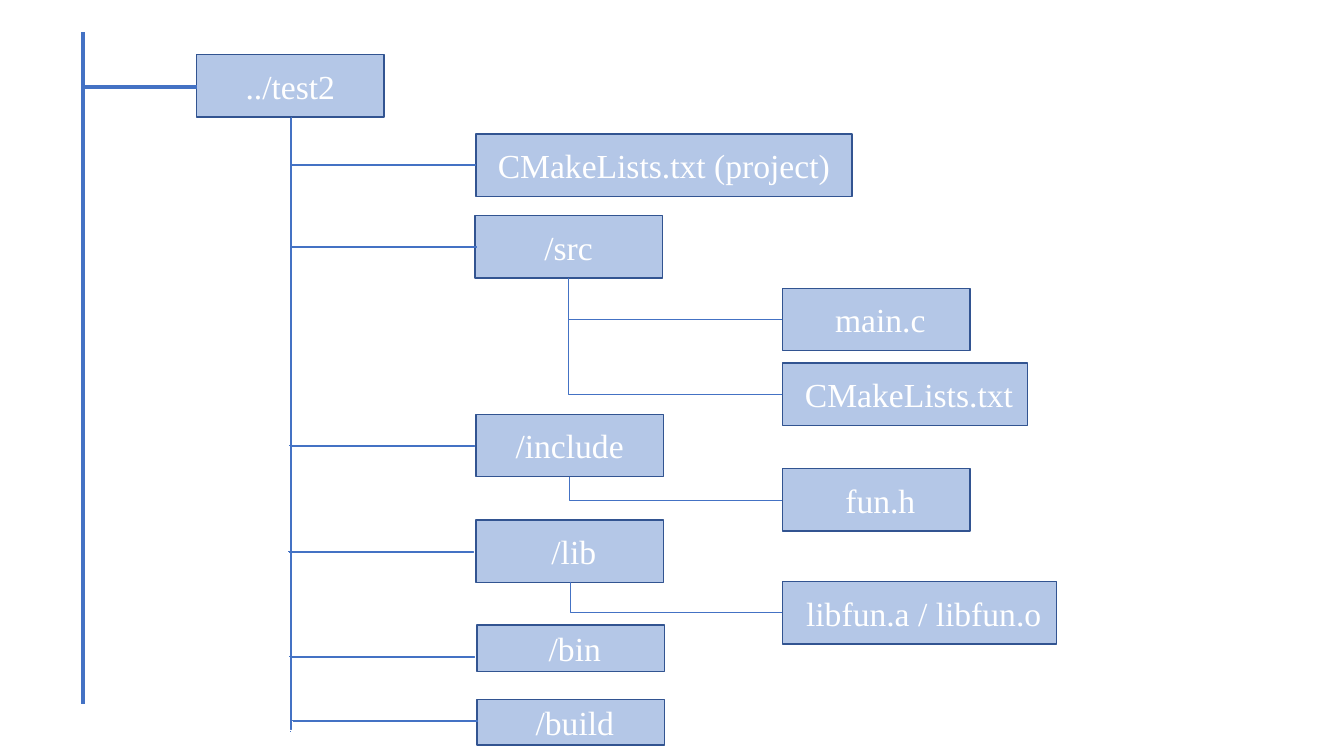
from dataclasses import dataclass

from lxml.etree import SubElement
from pptx import Presentation
from pptx.dml.color import RGBColor as RGB
from pptx.enum.shapes import MSO_CONNECTOR as Link, MSO_SHAPE as Kind
from pptx.enum.text import MSO_ANCHOR as Anchor, PP_ALIGN as Align
from pptx.oxml.ns import qn
from pptx.shapes.autoshape import Shape
from pptx.shapes.connector import Connector
from pptx.slide import Slide
from pptx.util import Inches, Pt


@dataclass(frozen=True)
class Theme:
    fill: RGB = RGB(0xB4, 0xC7, 0xE7)
    edge: RGB = RGB(0x32, 0x54, 0x91)
    wire: RGB = RGB(0x44, 0x72, 0xC4)
    text: RGB = RGB(0xFF, 0xFF, 0xFF)
    font: str = "Times New Roman"
    size: float = 24
    thin: float = 0.5
    thick: float = 3


@dataclass(frozen=True)
class Node:
    text: str
    left: float
    top: float
    width: float = 1.86
    height: float = 0.62


@dataclass(frozen=True)
class Wire:
    x1: float
    y1: float
    x2: float
    y2: float
    width: float = Theme.thin


@dataclass(frozen=True)
class Elbow(Wire):
    bend: float = 0  # where the line turns, as a share of its width
    turn: int = 0  # degrees clockwise


THEME = Theme()
GAP = 0.01  # between the two strands of a double line
STEM = 0.014

NODES = [
    Node("../test2", 1.95, 0.54),
    Node("CMakeLists.txt (project)", 4.72, 1.33, 3.73),
    Node("/src", 4.71, 2.14),
    Node(" main.c", 7.76, 2.86),
    Node(" CMakeLists.txt", 7.76, 3.6, 2.43),
    Node("/include", 4.72, 4.11),
    Node(" fun.h", 7.76, 4.65),
    Node(" /lib", 4.72, 5.16),
    Node(" libfun.a / libfun.o", 7.76, 5.77, 2.72),
    Node(" /bin", 4.73, 6.2, height=0.46),
    Node(" /build", 4.73, 6.94, height=0.45),
]

LINES = [
    Wire(0.82, 0.32, 0.82, 6.98, THEME.thick),
    Wire(0.82, 0.86, 1.95, 0.86, THEME.thick),
    Wire(2.88, 7.26, 2.89, 7.26),
]

# Left end and height of each branch off the trunk
BRANCHES = [(2.88, 1.63), (2.89, 2.44), (2.87, 4.42),
            (2.86, 5.47), (2.87, 6.51), (2.9, 7.15)]
REACH = 1.86

# From the foot of a folder to the left side of a file
LEAVES = [(5.64, 2.76, 3.17), (5.64, 2.76, 3.91),
          (5.65, 4.73, 4.96), (5.66, 5.77, 6.08)]
FILES = 7.76


def write(shape: Shape, text: str, *, size: float = THEME.size,
          font: str = THEME.font, color: RGB = THEME.text,
          align: Align = Align.CENTER) -> None:
    frame = shape.text_frame
    frame.word_wrap = True
    frame.vertical_anchor = Anchor.MIDDLE
    para = frame.paragraphs[0]
    para.alignment = align
    run = para.add_run()
    run.text = text
    run.font.size = Pt(size)
    run.font.name = font
    run.font.color.rgb = color


def box(slide: Slide, node: Node) -> None:
    spot = map(Inches, (node.left, node.top, node.width, node.height))
    shape = slide.shapes.add_shape(Kind.RECTANGLE, *spot)
    shape.shadow.inherit = False
    shape.fill.solid()
    shape.fill.fore_color.rgb = THEME.fill
    shape.line.color.rgb = THEME.edge
    shape.line.width = Pt(1)
    write(shape, node.text)


def line(slide: Slide, wire: Wire, kind: Link = Link.STRAIGHT) -> Connector:
    ends = map(Inches, (wire.x1, wire.y1, wire.x2, wire.y2))
    link = slide.shapes.add_connector(kind, *ends)
    link.line.color.rgb = THEME.wire
    link.line.width = Pt(wire.width)
    SubElement(link._element.spPr, qn("a:effectLst"))
    return link


def elbow(slide: Slide, wire: Elbow) -> None:
    props = line(slide, wire, Link.ELBOW)._element.spPr
    if wire.turn:
        props.find(qn("a:xfrm")).set("rot", str(wire.turn * 60000))
    guides = props.find(qn("a:prstGeom")).find(qn("a:avLst"))
    SubElement(guides, qn("a:gd"), name="adj1",
               fmla=f"val {round(wire.bend * 100000)}")


def main() -> None:
    deck = Presentation()
    deck.slide_width, deck.slide_height = Inches(13.33), Inches(7.5)
    slide = deck.slides.add_slide(deck.slide_layouts[6])

    # Folders and files
    for node in NODES:
        box(slide, node)

    # Main rail
    for wire in LINES:
        line(slide, wire)

    # Trunk and branches, drawn as double lines
    elbow(slide, Elbow(2.88, 1.16, 2.88 + STEM, 1.16 + STEM,
                       bend=6 / STEM, turn=90))
    for x, y in BRANCHES:
        elbow(slide, Elbow(x, y, x + GAP, y + GAP, bend=REACH / GAP))

    # Down from a folder, then across to its file
    for x, top, y in LEAVES:
        elbow(slide, Elbow(x, top, FILES, y))

    deck.save("out.pptx")


if __name__ == "__main__":
    main()
